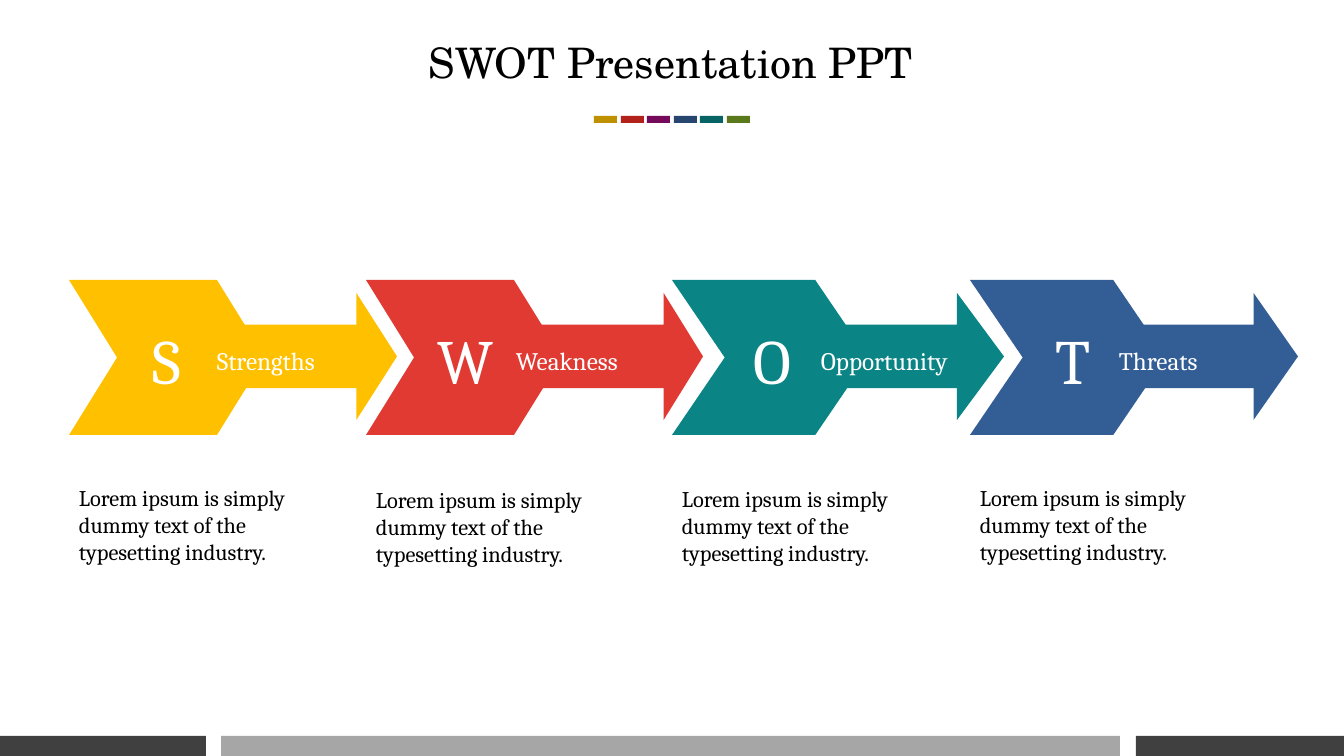
from dataclasses import dataclass

import pptx
import pptx.dml.color
import pptx.enum.shapes
import pptx.enum.text
import pptx.util

PX = 9144000 / 1008  # EMU in one pixel
SLIDE_W, SLIDE_H = 1344, 756
SHAPE = pptx.enum.shapes.MSO_SHAPE
ALIGN = pptx.enum.text.PP_ALIGN
AUTO_SIZE = pptx.enum.text.MSO_AUTO_SIZE


@dataclass(frozen=True)
class Theme:
    title_font: str = "TeX Gyre Schola"
    body_font: str = "Cambria"
    title_size: int = 30
    letter_size: int = 45
    label_size: int = 18
    body_size: int = 16
    ink: str = "000000"
    paper: str = "FFFFFF"
    footer_dark: str = "404040"
    footer_light: str = "A6A6A6"
    dashes: tuple[str, ...] = ("BF9000", "B3211B", "740A59", "264670", "086364", "59791A")


@dataclass(frozen=True)
class Box:
    left: int
    top: int
    width: int
    height: int

    def emu(self) -> list[int]:
        return [round(v * PX) for v in (self.left, self.top, self.width, self.height)]


@dataclass(frozen=True)
class TextStyle:
    font: str
    size: int
    color: str
    align: ALIGN = ALIGN.LEFT
    space_before: int = 0


@dataclass(frozen=True)
class Step:
    letter: str
    label: str
    color: str
    chevron_left: int
    arrow_left: int
    letter_left: int
    label_left: int
    body_top: int
    notch: float  # chevron point depth
    head: float  # arrowhead length


THEME = Theme()
TITLE = TextStyle(THEME.title_font, THEME.title_size, THEME.ink, ALIGN.CENTER)
LETTER = TextStyle(THEME.body_font, THEME.letter_size, THEME.paper, ALIGN.CENTER)
LABEL = TextStyle(THEME.body_font, THEME.label_size, THEME.paper)
BODY = TextStyle(THEME.body_font, THEME.body_size, THEME.ink, space_before=6)

BODY_TEXT = "Lorem ipsum\u00a0is simply dummy text of the typesetting industry."
STEPS = [
    Step("S", "Strengths", "FFC000", 69, 166, 130, 207, 479, 0.31, 0.32),
    Step("W", "Weakness", "E03A33", 366, 472, 428, 506, 481, 0.31, 0.31),
    Step("O", "Opportunity", "0A8485", 672, 773, 735, 811, 480, 0.34, 0.37),
    Step("T", "Threats", "335E95", 970, 1067, 1036, 1109, 479, 0.34, 0.35),
]


def add_filled(slide: pptx.slide.Slide, kind: SHAPE, box: Box, color: str,
               adjustments: tuple[float, ...] = ()) -> None:
    shape = slide.shapes.add_shape(kind, *box.emu())
    shape.shadow.inherit = False
    shape.fill.solid()
    shape.fill.fore_color.rgb = pptx.dml.color.RGBColor.from_string(color)
    shape.line.fill.background()
    for index, value in enumerate(adjustments):
        shape.adjustments[index] = value


def write(frame: pptx.text.text.TextFrame, text: str, style: TextStyle) -> None:
    frame.text = text
    frame.word_wrap = True
    frame.vertical_anchor = pptx.enum.text.MSO_ANCHOR.TOP
    paragraph = frame.paragraphs[0]
    paragraph.alignment = style.align
    paragraph.space_before = pptx.util.Pt(style.space_before)
    paragraph.font.name = style.font
    paragraph.font.size = pptx.util.Pt(style.size)
    paragraph.font.color.rgb = pptx.dml.color.RGBColor.from_string(style.color)


def add_text(slide: pptx.slide.Slide, box: Box, text: str, style: TextStyle) -> None:
    frame = slide.shapes.add_textbox(*box.emu()).text_frame
    write(frame, text, style)
    frame.auto_size = AUTO_SIZE.SHAPE_TO_FIT_TEXT


def add_title(slide: pptx.slide.Slide, box: Box, text: str) -> None:
    title = slide.shapes.title
    title.left, title.top, title.width, title.height = box.emu()
    write(title.text_frame, text, TITLE)
    title.text_frame.auto_size = AUTO_SIZE.NONE


def add_step_arrows(slide: pptx.slide.Slide, step: Step) -> None:
    add_filled(slide, SHAPE.CHEVRON, Box(step.chevron_left, 280, 196, 155),
               step.color, (step.notch,))
    add_filled(slide, SHAPE.RIGHT_ARROW, Box(step.arrow_left, 293, 231, 127),
               step.color, (0.5, step.head))


def add_step_texts(slide: pptx.slide.Slide, step: Step) -> None:
    add_text(slide, Box(step.letter_left, 317, 74, 87), step.letter, LETTER)
    add_text(slide, Box(step.label_left, 340, 195, 40), step.label, LABEL)
    add_text(slide, Box(step.chevron_left, step.body_top, 243, 92), BODY_TEXT, BODY)


presentation = pptx.Presentation()
presentation.slide_width = round(SLIDE_W * PX)
presentation.slide_height = round(SLIDE_H * PX)
swot = presentation.slides.add_slide(presentation.slide_layouts[5])

# Title with its row of coloured dashes
add_title(swot, Box(0, 31, 1342, 61), "SWOT Presentation PPT")
for i, dash_color in enumerate(THEME.dashes):
    add_filled(swot, SHAPE.RECTANGLE, Box(594 + round(26.6 * i), 116, 23, 7), dash_color)

# Arrows first, so that all wording lies above them
for swot_step in STEPS:
    add_step_arrows(swot, swot_step)
for swot_step in STEPS:
    add_step_texts(swot, swot_step)

# Footer bars
for bar_left, bar_width, bar_color in (
    (0, 206, THEME.footer_dark),
    (221, 899, THEME.footer_light),
    (1136, 208, THEME.footer_dark),
):
    add_filled(swot, SHAPE.RECTANGLE, Box(bar_left, 736, bar_width, 20), bar_color)

presentation.save("out.pptx")
